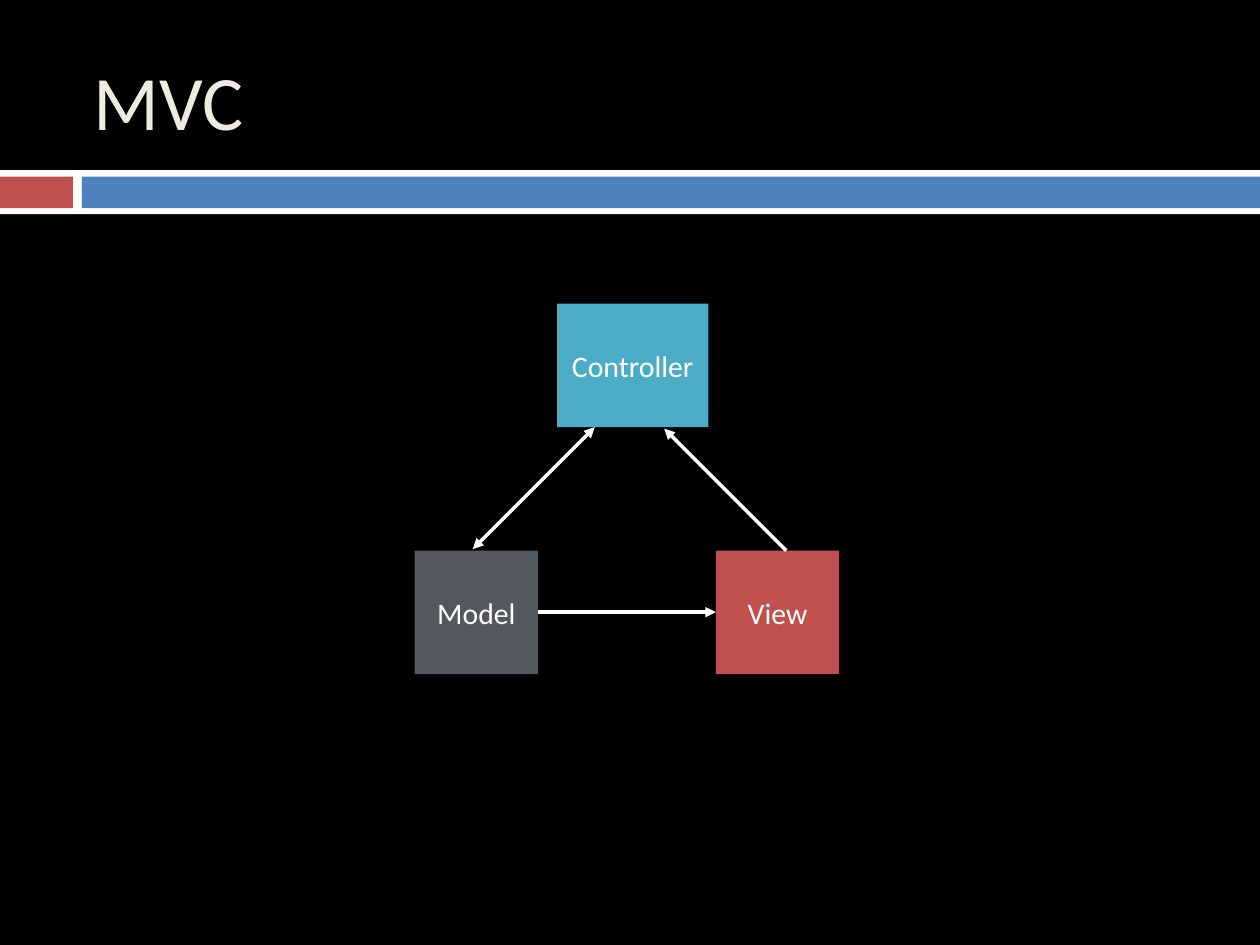
from lxml.etree import SubElement
from pptx import Presentation
from pptx.dml.color import RGBColor
from pptx.enum.shapes import MSO_CONNECTOR, MSO_SHAPE
from pptx.enum.text import MSO_ANCHOR, PP_ALIGN
from pptx.oxml.ns import qn
from pptx.util import Cm, Pt

# Content: lengths in cm
WIDTH, HEIGHT = 25.4, 19.05
FONT = "Calibri"
TITLE = "MVC"
BANDS = [  # left, top, width, height, colour
    (0, 3.43, WIDTH, 0.89, "FFFFFF"),
    (0, 3.56, 1.47, 0.64, "C0504D"),
    (1.65, 3.56, WIDTH - 1.65, 0.64, "4F81BD"),
]
SIDE = 2.49
ROW = 11.1
BOXES = [  # text, left, top, width, colour
    ("Controller", 11.23, 6.12, 3.05, "4BACC6"),
    ("Model", 8.36, ROW, SIDE, "53585F"),
    ("View", 14.43, ROW, SIDE, "C0504D"),
]
ARROWS = [  # start, end, line ends with arrowheads
    ((9.53, 11.07), (11.99, 8.61), ("headEnd", "tailEnd")),
    ((8.36 + SIDE, 12.34), (14.43, 12.34), ("tailEnd",)),
    ((15.85, ROW), (13.39, 8.64), ("tailEnd",)),
]


def paint(fmt, colour):
    fmt.solid()
    fmt.fore_color.rgb = RGBColor.from_string(colour)


def add_rect(shapes, left, top, width, height, colour):
    sp = shapes.add_shape(MSO_SHAPE.RECTANGLE, Cm(left), Cm(top), Cm(width), Cm(height))
    sp.shadow.inherit = False
    paint(sp.fill, colour)
    sp.line.fill.background()
    return sp


def set_text(sp, text, size, colour, align, inset_x, inset_y):
    tf = sp.text_frame
    tf.text = text
    tf.word_wrap = True
    tf.vertical_anchor = MSO_ANCHOR.MIDDLE
    tf.margin_left = tf.margin_right = Cm(inset_x)
    tf.margin_top = tf.margin_bottom = Cm(inset_y)
    p = tf.paragraphs[0]
    p.alignment = align
    font = p.runs[0].font
    font.name, font.size = FONT, Pt(size)
    paint(font.fill, colour)


def add_arrow(shapes, start, end, heads):
    points = [Cm(v) for v in start + end]
    line = shapes.add_connector(MSO_CONNECTOR.STRAIGHT, *points)
    line.line.width = Pt(2)
    paint(line.line.fill, "FFFFFF")
    ln = line.line._get_or_add_ln()
    for head in heads:
        SubElement(ln, qn("a:" + head), type="triangle")
    SubElement(line._element.spPr, qn("a:effectLst"))


def main():
    prs = Presentation()
    prs.slide_width, prs.slide_height = Cm(WIDTH), Cm(HEIGHT)
    s = prs.slides.add_slide(prs.slide_layouts[5])
    paint(s.background.fill, "000000")

    # Title
    title = s.shapes.title
    title.left, title.top, title.width, title.height = Cm(1.7), Cm(0.64), Cm(19.41), Cm(2.74)
    set_text(title, TITLE, 44, "EEECE1", PP_ALIGN.LEFT, 0.18, 0.1)

    # Bands under the title
    for band in BANDS:
        add_rect(s.shapes, *band)

    # Diagram
    diagram = s.shapes.add_group_shape().shapes
    for text, left, top, width, colour in BOXES:
        box = add_rect(diagram, left, top, width, SIDE, colour)
        set_text(box, text, 17, "FFFFFF", PP_ALIGN.CENTER, 0.15, 0.15)
    for arrow in ARROWS:
        add_arrow(diagram, *arrow)

    prs.save("out.pptx")


if __name__ == "__main__":
    main()
